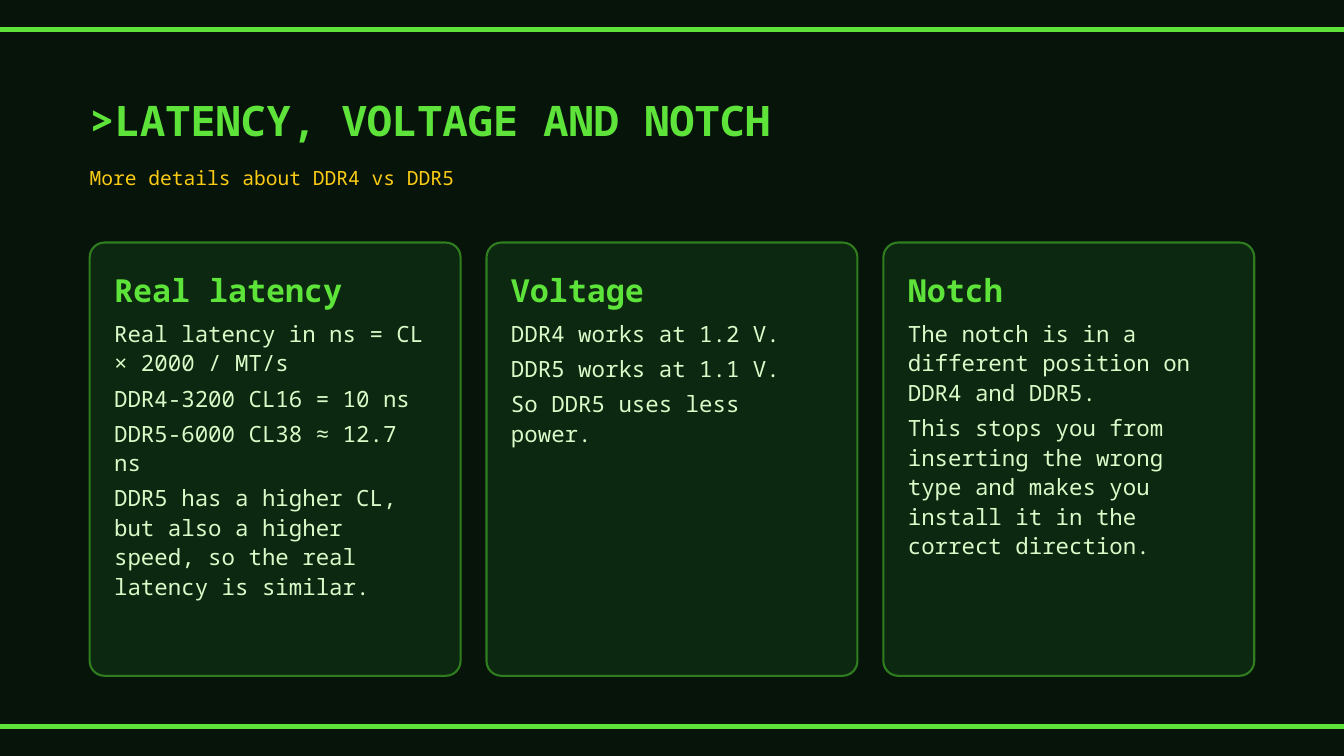
from pptx import Presentation
from pptx.dml.color import RGBColor
from pptx.enum.shapes import MSO_SHAPE
from pptx.enum.text import MSO_ANCHOR, MSO_AUTO_SIZE, PP_ALIGN
from pptx.util import Cm, Pt

RECTANGLE = MSO_SHAPE.RECTANGLE
ROUNDED = MSO_SHAPE.ROUNDED_RECTANGLE
TOP = MSO_ANCHOR.TOP
LEFT = PP_ALIGN.LEFT
NO_AUTOFIT = MSO_AUTO_SIZE.NONE

COLORS = {
    "background": "06140A",
    "accent": "5EE33A",
    "subtitle": "FACC15",
    "card": "0C2810",
    "border": "2F7D1F",
    "body": "D9FBC8",
}
FONT = "Noto Sans Mono"
SLIDE_WIDTH, SLIDE_HEIGHT = 50.8, 28.58
MARGIN = 3.39
CONTENT_WIDTH = SLIDE_WIDTH - 2 * MARGIN
CARD_GAP = 0.98

CARDS = [
    ("Real latency", [
        "Real latency in ns = CL × 2000 / MT/s",
        "DDR4-3200 CL16 = 10 ns",
        "DDR5-6000 CL38 ≈ 12.7 ns",
        "DDR5 has a higher CL, but also a higher speed, so the real latency is similar.",
    ]),
    ("Voltage", [
        "DDR4 works at 1.2 V.",
        "DDR5 works at 1.1 V.",
        "So DDR5 uses less power.",
    ]),
    ("Notch", [
        "The notch is in a different position on DDR4 and DDR5.",
        "This stops you from inserting the wrong type and makes you install it "
        "in the correct direction.",
    ]),
]


def rgb(name):
    return RGBColor.from_string(COLORS[name])


class TerminalSlide:
    """Holds the terminal style and the slide being built."""

    def __init__(self, presentation):
        self.slide = presentation.slides.add_slide(presentation.slide_layouts[5])
        background = self.slide.background.fill
        background.solid()
        background.fore_color.rgb = rgb("background")

    def _prepare_frame(self, frame, inset=0):
        frame.word_wrap = True
        frame.auto_size = NO_AUTOFIT
        frame.vertical_anchor = TOP
        frame.margin_left = frame.margin_right = Cm(inset)
        frame.margin_top = frame.margin_bottom = Cm(inset)

    def _write(self, paragraph, text, size, color, bold=False, after=0):
        paragraph.text = text
        paragraph.alignment = LEFT
        paragraph.line_spacing = 1.1
        paragraph.space_before = Pt(0)
        paragraph.space_after = Pt(after)
        for run in paragraph.runs:
            run.font.name = FONT
            run.font.size = Pt(size)
            run.font.bold = bold
            run.font.color.rgb = rgb(color)

    def _shape(self, preset, left, top, width, height, fill, line, line_width):
        shape = self.slide.shapes.add_shape(
            preset, Cm(left), Cm(top), Cm(width), Cm(height))
        shape.shadow.inherit = False
        shape.fill.solid()
        shape.fill.fore_color.rgb = rgb(fill)
        shape.line.color.rgb = rgb(line)
        shape.line.width = Pt(line_width)
        return shape

    def bar(self, top):
        self._shape(RECTANGLE, -0.03, top, SLIDE_WIDTH + 0.06, 0.15,
                    "accent", "accent", 1.5)

    def title(self, text, top, height):
        title = self.slide.shapes.title
        title.left, title.top = Cm(MARGIN), Cm(top)
        title.width, title.height = Cm(CONTENT_WIDTH), Cm(height)
        self._prepare_frame(title.text_frame)
        self._write(title.text_frame.paragraphs[0], text, 45, "accent", bold=True)

    def subtitle(self, text, top, height):
        subtitle = self.slide.shapes.add_textbox(
            Cm(MARGIN), Cm(top), Cm(CONTENT_WIDTH), Cm(height))
        self._prepare_frame(subtitle.text_frame)
        self._write(subtitle.text_frame.paragraphs[0], text, 21, "subtitle")

    def card(self, left, top, width, height, heading, statements):
        card = self._shape(ROUNDED, left, top, width, height, "card", "border", 2.25)
        card.adjustments[0] = 0.04
        frame = card.text_frame
        self._prepare_frame(frame, inset=0.76)
        self._write(frame.paragraphs[0], heading, 34, "accent", bold=True, after=9)
        for statement in statements:
            self._write(frame.add_paragraph(), statement, 24, "body", after=6)


def main():
    presentation = Presentation()
    presentation.slide_width = Cm(SLIDE_WIDTH)
    presentation.slide_height = Cm(SLIDE_HEIGHT)

    slide = TerminalSlide(presentation)
    for bar_top in (1.04, 27.38):
        slide.bar(bar_top)
    slide.title(">LATENCY, VOLTAGE AND NOTCH", 3.39, 2.48)
    slide.subtitle("More details about DDR4 vs DDR5", 6.17, 1.96)

    card_width = (CONTENT_WIDTH - CARD_GAP * (len(CARDS) - 1)) / len(CARDS)
    for column, (heading, statements) in enumerate(CARDS):
        left = MARGIN + column * (card_width + CARD_GAP)
        slide.card(left, 9.17, card_width, 16.38, heading, statements)

    presentation.save("out.pptx")


if __name__ == "__main__":
    main()
